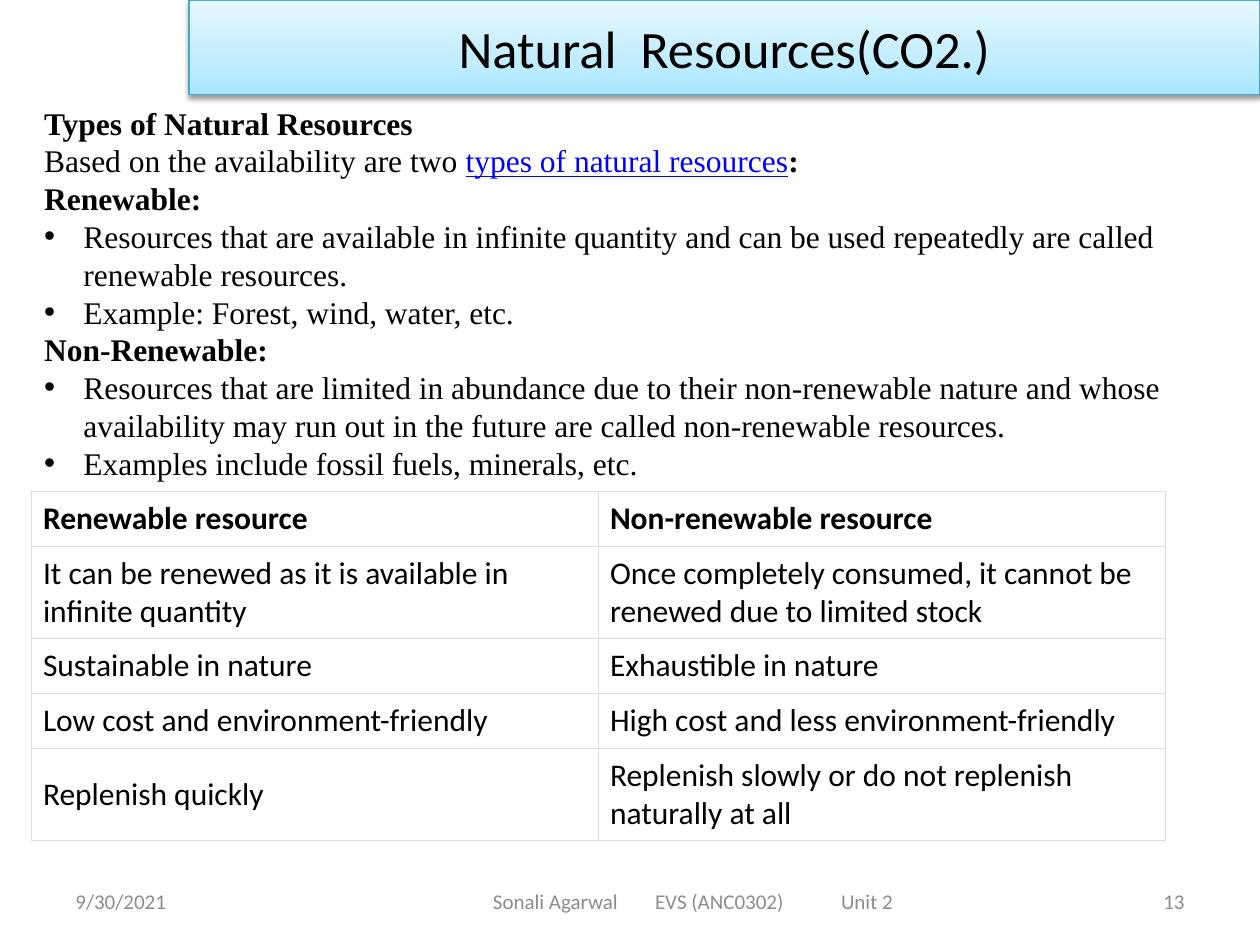
from dataclasses import dataclass

from lxml import etree
from pptx import Presentation
from pptx.dml.color import RGBColor
from pptx.enum.text import MSO_ANCHOR, MSO_AUTO_SIZE, PP_ALIGN
from pptx.oxml import parse_xml
from pptx.oxml.ns import nsdecls, qn
from pptx.util import Pt

LEFT, CENTER, RIGHT = PP_ALIGN.LEFT, PP_ALIGN.CENTER, PP_ALIGN.RIGHT
MIDDLE, TOP = MSO_ANCHOR.MIDDLE, MSO_ANCHOR.TOP
NO_FIT = MSO_AUTO_SIZE.NONE


@dataclass(frozen=True)
class Theme:
    text: str = "000000"
    link: str = "0000FF"
    muted: str = "8C8C8C"
    white: str = "FFFFFF"
    grid: str = "DDDDDD"
    banner_line: str = "46AAC5"
    banner_stops: tuple = ((0, "A7E6FF"), (35, "C1EDFF"), (100, "E7F8FF"))
    sans: str = "Calibri"
    serif: str = "Times New Roman"
    title_size: float = 30
    body_size: float = 18
    footer_size: float = 12
    body_leading: float = 21.6


@dataclass(frozen=True)
class Run:
    text: str
    bold: bool = False
    link: bool = False


@dataclass(frozen=True)
class Para:
    runs: tuple
    bullet: bool = False


@dataclass(frozen=True)
class Footer:
    text: str
    left: float
    width: float
    align: PP_ALIGN
    inset: float = 7.2
    tabs: tuple = ()


THEME = Theme()


def heading(text: str) -> Para:
    return Para((Run(text, bold=True),))


def bullet(text: str) -> Para:
    return Para((Run(text),), bullet=True)


BODY = (
    heading("Types of Natural Resources"),
    Para((Run("Based on the availability are two "),
          Run("types of natural resources", link=True), Run(":", bold=True))),
    heading("Renewable:"),
    bullet("Resources that are available in infinite quantity and can be used "
           "repeatedly are called renewable resources."),
    bullet("Example: Forest, wind, water, etc."),
    heading("Non-Renewable:"),
    bullet("Resources that are limited in abundance due to their non-renewable nature "
           "and whose availability may run out in the future are called "
           "non-renewable resources."),
    bullet("Examples include fossil fuels, minerals, etc."),
)
COMPARISON = (
    (31.3, "Renewable resource", "Non-renewable resource"),
    (52.6, "It can be renewed as it is available in infinite quantity",
     "Once completely consumed, it cannot be renewed due to limited stock"),
    (31.3, "Sustainable in nature", "Exhaustible in nature"),
    (31.3, "Low cost and environment-friendly", "High cost and less environment-friendly"),
    (52.6, "Replenish quickly", "Replenish slowly or do not replenish naturally at all"),
)
FOOTERS = (
    Footer("9/30/2021", 36, 168, LEFT),
    Footer("Sonali Agarwal\tEVS (ANC0302)\tUnit 2", 198, 396, LEFT, 83.7, (92.6, 198.9)),
    Footer("13", 516, 168, RIGHT),
)


def add_run(p, text: str, *, size: float, font: str, color: str = THEME.text,
            bold: bool = False, underline: bool = False) -> None:
    r = p.add_run()
    r.text = text
    r.font.size = Pt(size)
    r.font.name = font
    r.font.bold = bold
    r.font.underline = underline
    r.font.color.rgb = RGBColor.from_string(color)


def place(sp, left: float, top: float, width: float, height: float) -> None:
    sp.left, sp.top, sp.width, sp.height = Pt(left), Pt(top), Pt(width), Pt(height)


def draw_banner(sp, text: str) -> None:
    place(sp, 108, 0, 612, 54)
    stops = "".join(f'<a:gs pos="{pos * 1000}"><a:srgbClr val="{color}"/></a:gs>'
                    for pos, color in THEME.banner_stops)
    sp._element.spPr.append(parse_xml(
        f'<a:gradFill {nsdecls("a")} rotWithShape="1"><a:gsLst>{stops}</a:gsLst>'
        '<a:lin ang="16200000" scaled="0"/></a:gradFill>'))
    sp.line.color.rgb = RGBColor.from_string(THEME.banner_line)
    sp.line.width = Pt(0.75)
    sp._element.spPr.append(parse_xml(
        f'<a:effectLst {nsdecls("a")}><a:outerShdw blurRad="{Pt(3.1)}" dist="{Pt(1.6)}" '
        'dir="5400000" rotWithShape="0"><a:srgbClr val="000000"><a:alpha val="38000"/>'
        '</a:srgbClr></a:outerShdw></a:effectLst>'))
    tf = sp.text_frame
    tf.auto_size = NO_FIT
    tf.vertical_anchor = MIDDLE
    p = tf.paragraphs[0]
    p.alignment = CENTER
    add_run(p, text, size=THEME.title_size, font=THEME.sans)


def draw_body(sp, paras: tuple) -> None:
    place(sp, 18, 55.6, 684, 225.4)
    tf = sp.text_frame
    tf.auto_size = NO_FIT
    tf.vertical_anchor = TOP
    for i, para in enumerate(paras):
        p = tf.paragraphs[0] if i == 0 else tf.add_paragraph()
        pPr = p._p.get_or_add_pPr()
        indent = Pt(22.5) if para.bullet else 0
        pPr.set("marL", str(indent))
        pPr.set("indent", str(-indent))
        if para.bullet:
            etree.SubElement(pPr, qn("a:buFont")).set("typeface", "Arial")
            etree.SubElement(pPr, qn("a:buChar")).set("char", "•")
        else:
            etree.SubElement(pPr, qn("a:buNone"))
        p.alignment = LEFT
        p.space_before = Pt(0)
        p.line_spacing = Pt(THEME.body_leading)
        for run in para.runs:
            add_run(p, run.text, size=THEME.body_size, font=THEME.serif, bold=run.bold,
                    underline=run.link, color=THEME.link if run.link else THEME.text)


def draw_cell(cell, text: str, bold: bool) -> None:
    cell.margin_left = cell.margin_right = Pt(6.6)
    cell.margin_top = cell.margin_bottom = Pt(4.5)
    cell.vertical_anchor = MIDDLE
    tcPr = cell._tc.get_or_add_tcPr()
    for side in ("lnL", "lnR", "lnT", "lnB"):
        tcPr.append(parse_xml(
            f'<a:{side} {nsdecls("a")} w="{Pt(0.6)}"><a:solidFill>'
            f'<a:srgbClr val="{THEME.grid}"/></a:solidFill></a:{side}>'))
    cell.fill.solid()
    cell.fill.fore_color.rgb = RGBColor.from_string(THEME.white)
    add_run(cell.text_frame.paragraphs[0], text, size=THEME.body_size,
            font=THEME.sans, bold=bold)


def draw_table(s, rows: tuple) -> None:
    height = sum(row[0] for row in rows)
    table = s.shapes.add_table(len(rows), 2, Pt(18), Pt(280.8), Pt(648), Pt(height)).table
    table.horz_banding = False
    for i, (row_height, *texts) in enumerate(rows):
        table.rows[i].height = Pt(row_height)
        for j, text in enumerate(texts):
            draw_cell(table.cell(i, j), text, bold=i == 0)


def draw_footer(s, footer: Footer) -> None:
    sp = s.shapes.add_textbox(Pt(footer.left), Pt(500.5), Pt(footer.width), Pt(28.75))
    tf = sp.text_frame
    tf.word_wrap = True
    tf.vertical_anchor = MIDDLE
    tf.margin_left = Pt(footer.inset)
    p = tf.paragraphs[0]
    if footer.tabs:
        tabs = etree.SubElement(p._p.get_or_add_pPr(), qn("a:tabLst"))
        for pos in footer.tabs:
            etree.SubElement(tabs, qn("a:tab"), pos=str(Pt(pos)), algn="l")
    p.alignment = footer.align
    add_run(p, footer.text, size=THEME.footer_size, font=THEME.sans, color=THEME.muted)


def main() -> None:
    prs = Presentation()
    prs.slide_width, prs.slide_height = Pt(720), Pt(540)
    s = prs.slides.add_slide(prs.slide_layouts[1])
    draw_banner(s.shapes.title, "Natural  Resources(CO2.)")
    draw_body(s.placeholders[1], BODY)
    draw_table(s, COMPARISON)
    for footer in FOOTERS:
        draw_footer(s, footer)
    prs.save("out.pptx")


if __name__ == "__main__":
    main()
